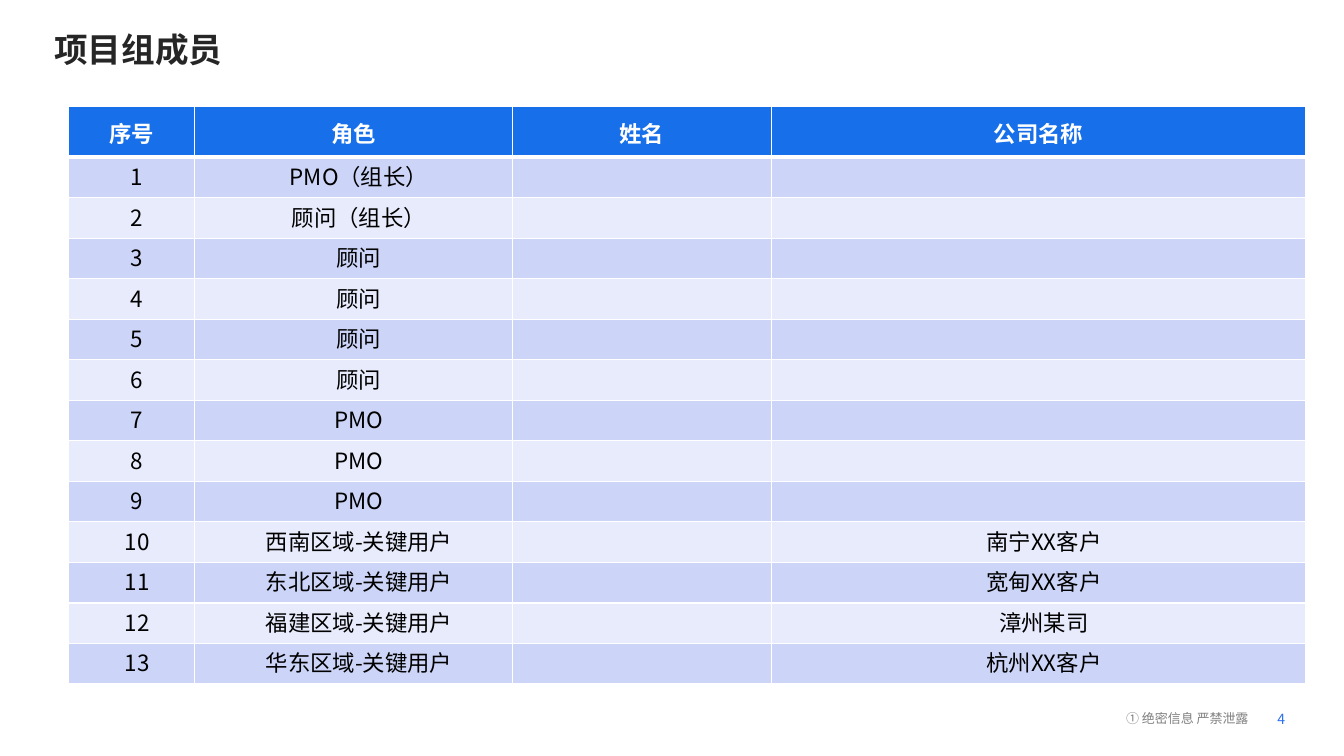
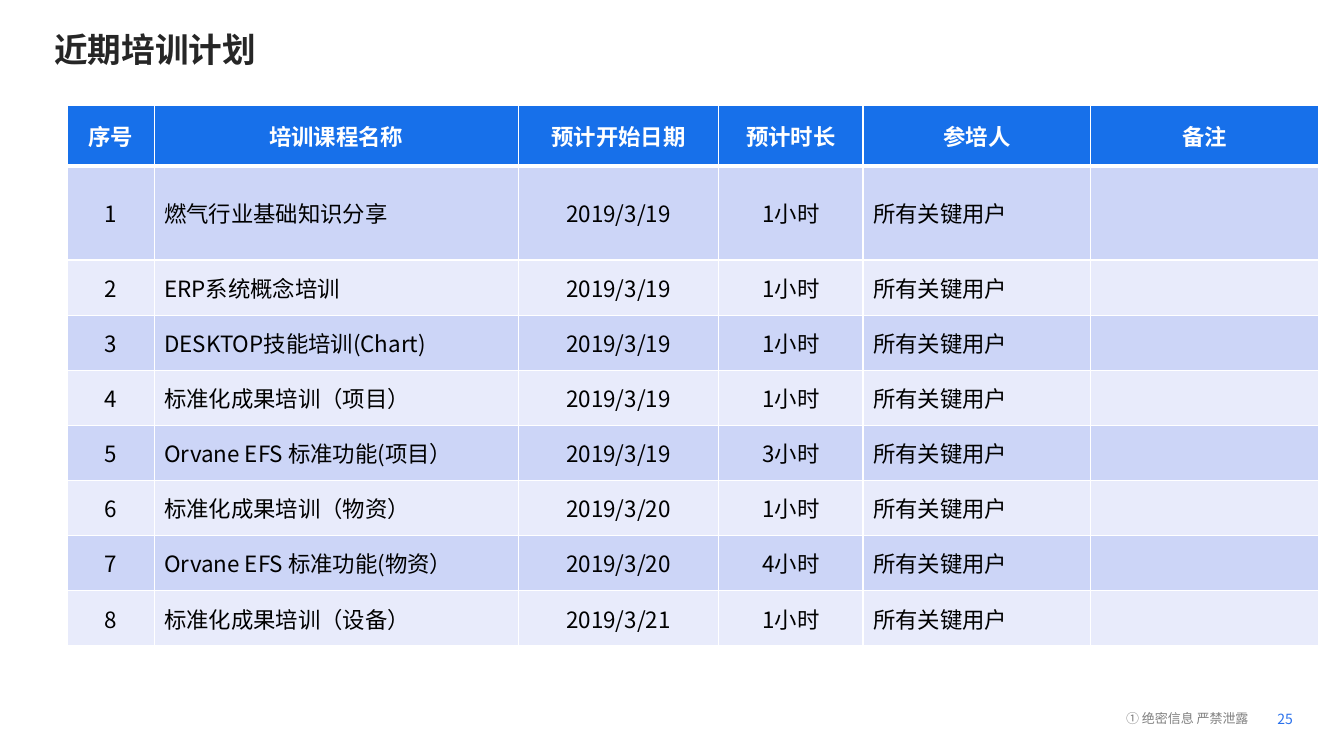
from dataclasses import dataclass

from lxml.etree import SubElement
from pptx import Presentation
from pptx.dml.color import RGBColor
from pptx.enum.text import MSO_ANCHOR, PP_ALIGN
from pptx.oxml.ns import qn
from pptx.slide import Slide
from pptx.table import _Cell
from pptx.text.text import TextFrame
from pptx.util import Inches, Pt

FONT = "Noto Sans CJK SC"
WHITE, BLACK, INK, GREY = "FFFFFF", "000000", "262626", "808080"
HEAD, PAGE = "1770EA", "2A71EC"
BANDS = ("CCD5F7", "E8EBFB")
PLAIN = (0.1, 0.05, 0.1, 0.05)
LEFT, MID = PP_ALIGN.LEFT, PP_ALIGN.CENTER


@dataclass
class Grid:
    left: float
    top: float
    cols: list[float]
    rows: list[float]
    data: list[tuple[str, ...]]
    aligns: list[PP_ALIGN]
    head_pad: tuple[float, ...] = PLAIN
    body_pad: tuple[float, ...] = PLAIN


@dataclass
class Page:
    title: str
    number: int
    grid: Grid


def rgb(code: str) -> RGBColor:
    return RGBColor.from_string(code)


def write(frame: TextFrame, text: str, *, size: float, color: str,
          bold: bool = False, align: PP_ALIGN = LEFT,
          leading: float | None = None) -> None:
    para = frame.paragraphs[0]
    para.alignment = align
    if leading:
        para.line_spacing = Pt(leading)
    run = para.add_run()
    run.text = text
    font = run.font
    font.size, font.bold, font.name = Pt(size), bold, FONT
    font.color.rgb = rgb(color)
    SubElement(run._r.get_or_add_rPr(), qn("a:ea"), typeface=FONT)


def pad(target: TextFrame | _Cell, sides: tuple[float, ...]) -> None:
    """Set the left, top, right and bottom margins."""
    (target.margin_left, target.margin_top,
     target.margin_right, target.margin_bottom) = map(Inches, sides)


def label(slide: Slide, text: str, box: tuple[float, ...],
          sides: tuple[float, ...], **style) -> None:
    frame = slide.shapes.add_textbox(*map(Inches, box)).text_frame
    frame.word_wrap = False
    frame.vertical_anchor = MSO_ANCHOR.MIDDLE
    pad(frame, sides)
    write(frame, text, **style)


def edge(cell: _Cell, top: float, bottom: float) -> None:
    """Draw white cell borders; the side borders are 1 pt wide."""
    props = cell._tc.get_or_add_tcPr()
    for side, width in zip("LRTB", (1, 1, top, bottom)):
        line = SubElement(props, qn(f"a:ln{side}"), w=str(Pt(width)))
        fill = SubElement(line, qn("a:solidFill"))
        SubElement(fill, qn("a:srgbClr"), val=WHITE)


def draw_grid(slide: Slide, grid: Grid) -> None:
    table = slide.shapes.add_table(
        len(grid.rows), len(grid.cols), Inches(grid.left), Inches(grid.top),
        Inches(sum(grid.cols)), Inches(sum(grid.rows))).table
    table.first_row = table.horz_banding = False
    for col, width in zip(table.columns, grid.cols):
        col.width = Inches(width)
    for row, height in zip(table.rows, grid.rows):
        row.height = Inches(height)
    for r, texts in enumerate(grid.data):
        head = r == 0
        for c, text in enumerate(texts):
            cell = table.cell(r, c)
            edge(cell, 3 if r == 1 else 1, 3 if head else 1)
            cell.fill.solid()
            cell.fill.fore_color.rgb = rgb(HEAD if head else BANDS[(r - 1) % 2])
            cell.vertical_anchor = MSO_ANCHOR.MIDDLE
            pad(cell, grid.head_pad if head else grid.body_pad)
            if text:
                write(cell.text_frame, text, size=16, bold=head,
                      color=WHITE if head else BLACK,
                      align=MID if head else grid.aligns[c])


def draw_page(slide: Slide, page: Page) -> None:
    label(slide, str(page.number), (12.67, 7.05, 0.23, 0.17), (0, 0, 0, 0),
          size=10, color=PAGE)
    label(slide, "① 绝密信息 严禁泄露", (11.13, 7.02, 1.33, 0.19),
          (0.04, 0.01, 0.01, 0.01), size=9.3, color=GREY, leading=13.3)
    label(slide, page.title, (0.44, 0.23, 10.6, 0.51), PLAIN,
          size=24, color=INK, bold=True)
    draw_grid(slide, page.grid)


ROLES = ["PMO（组长）", "顾问（组长）"] + ["顾问"] * 4 + ["PMO"] * 3
USERS = [("西南", "南宁XX客户"), ("东北", "宽甸XX客户"),
         ("福建", "漳州某司"), ("华东", "杭州XX客户")]
PEOPLE = [(role, "") for role in ROLES]
PEOPLE += [(f"{area}区域-关键用户", firm) for area, firm in USERS]
TEAM = [("序号", "角色", "姓名", "公司名称")]
TEAM += [(str(n), role, "", firm) for n, (role, firm) in enumerate(PEOPLE, 1)]

COURSES = [
    ("燃气行业基础知识分享", 19, 1),
    ("ERP系统概念培训", 19, 1),
    ("DESKTOP技能培训(Chart)", 19, 1),
    ("标准化成果培训（项目）", 19, 1),
    ("Orvane EFS 标准功能(项目）", 19, 3),
    ("标准化成果培训（物资）", 20, 1),
    ("Orvane EFS 标准功能(物资）", 20, 4),
    ("标准化成果培训（设备）", 21, 1),
]
PLAN = [("序号", "培训课程名称", "预计开始日期", "预计时长", "参培人", "备注")]
PLAN += [(str(n), name, f"2019/3/{day}", f"{hours}小时", "所有关键用户", "")
         for n, (name, day, hours) in enumerate(COURSES, 1)]

PAGES = [
    Page("项目组成员", 4, Grid(
        0.68, 1.06, [1.25, 3.15, 2.57, 5.3],
        [0.5] + [5.23 / len(PEOPLE)] * len(PEOPLE), TEAM, [MID] * 4,
        (0.01, 0.01, 0.01, 0), (0.12, 0.01, 0.01, 0.04))),
    Page("近期培训计划", 25, Grid(
        0.67, 1.05, [0.86, 3.61, 1.99, 1.43, 2.26, 2.26],
        [0.6, 0.93] + [3.83 / 7] * 7, PLAN,
        [MID, LEFT, MID, MID, LEFT, LEFT])),
]


def main() -> None:
    deck = Presentation()
    deck.slide_width, deck.slide_height = Inches(13.33), Inches(7.5)
    for page in PAGES:
        draw_page(deck.slides.add_slide(deck.slide_layouts[6]), page)
    deck.save("out.pptx")


if __name__ == "__main__":
    main()
